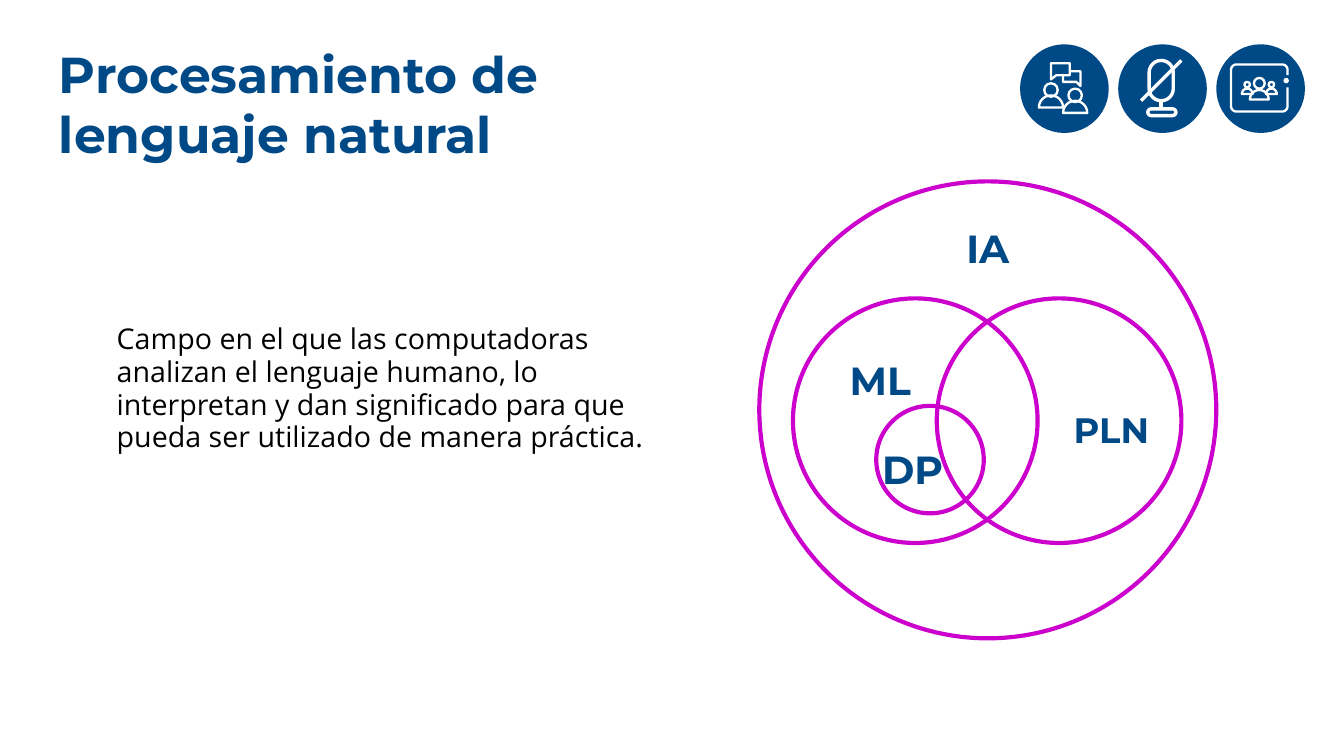
from dataclasses import dataclass
from math import cos, radians, sin

from pptx import Presentation
from pptx.dml.color import RGBColor
from pptx.enum.shapes import MSO_SHAPE
from pptx.enum.text import MSO_ANCHOR, PP_ALIGN
from pptx.shapes.autoshape import Shape
from pptx.slide import Slide
from pptx.util import Inches, Pt

NAVY = RGBColor(0x00, 0x49, 0x87)
MAGENTA = RGBColor(0xCC, 0x00, 0xCC)
WHITE = RGBColor(0xFF, 0xFF, 0xFF)
BLACK = RGBColor(0x00, 0x00, 0x00)
ICON_STROKE = 1.25
MICROPHONE_STROKE = 1.8

Point = tuple[float, float]


@dataclass
class Label:
    text: str
    left: float
    top: float
    size: float = 21


@dataclass
class Circle:
    left: float
    top: float
    diameter: float


@dataclass
class Person:
    center: float
    head_y: float
    head_radius: float
    base_y: float
    body_radius: float


LABELS = [
    Label("IA", 6.95, 1.53),
    Label("ML", 6.15, 2.51),
    Label("DP", 6.39, 3.17),
    Label("PLN", 7.87, 2.88, 18.9),
]
CIRCLES = [
    Circle(5.65, 1.35, 3.4),
    Circle(5.9, 2.22, 1.82),
    Circle(6.97, 2.22, 1.82),
    Circle(6.52, 3.02, 0.8),
]
BADGES = [Circle(7.59 + 0.73 * index, 0.33, 0.66) for index in range(3)]
PEOPLE = [
    Person(7.82, 0.67, 0.05, 0.8, 0.09),
    Person(8, 0.71, 0.05, 0.84, 0.09),
    Person(9.37, 0.62, 0.04, 0.74, 0.07),
    Person(9.28, 0.63, 0.02, 0.7, 0.04),
    Person(9.46, 0.63, 0.02, 0.7, 0.04),
]


def set_outline(shape: Shape, color: RGBColor, weight: float) -> None:
    shape.shadow.inherit = False
    shape.fill.background()
    shape.line.color.rgb = color
    shape.line.width = Pt(weight)


def add_preset(page: Slide, kind: MSO_SHAPE, left: float, top: float,
               width: float, height: float) -> Shape:
    return page.shapes.add_shape(
        kind, Inches(left), Inches(top), Inches(width), Inches(height))


def add_disc(page: Slide, disc: Circle, color: RGBColor) -> None:
    shape = add_preset(page, MSO_SHAPE.OVAL, disc.left, disc.top,
                       disc.diameter, disc.diameter)
    shape.shadow.inherit = False
    shape.fill.solid()
    shape.fill.fore_color.rgb = color
    shape.line.fill.background()


def add_ring(page: Slide, ring: Circle, color: RGBColor, weight: float) -> None:
    shape = add_preset(page, MSO_SHAPE.OVAL, ring.left, ring.top,
                       ring.diameter, ring.diameter)
    set_outline(shape, color, weight)


def add_capsule(page: Slide, left: float, top: float,
                width: float, height: float) -> None:
    shape = add_preset(page, MSO_SHAPE.ROUNDED_RECTANGLE, left, top, width, height)
    shape.adjustments[0] = 0.5
    set_outline(shape, WHITE, MICROPHONE_STROKE)


def add_path(page: Slide, points: list[Point], close: bool = False,
             weight: float = ICON_STROKE) -> None:
    first, *rest = [(Inches(x), Inches(y)) for x, y in points]
    builder = page.shapes.build_freeform(*first)
    builder.add_line_segments(rest, close=close)
    set_outline(builder.convert_to_shape(), WHITE, weight)


def arc(x: float, y: float, radius: float, start: int, end: int) -> list[Point]:
    steps = 12
    angles = [radians(start + (end - start) * step / steps)
              for step in range(steps + 1)]
    return [(x + radius * cos(angle), y + radius * sin(angle)) for angle in angles]


def add_person(page: Slide, person: Person) -> None:
    radius = person.head_radius
    head = Circle(person.center - radius, person.head_y - radius, 2 * radius)
    add_ring(page, head, WHITE, ICON_STROKE)
    body = arc(person.center, person.base_y, person.body_radius, 180, 360)
    add_path(page, body, close=True)


def add_speech_bubbles(page: Slide) -> None:
    add_path(page, [(7.82, 0.59), (7.82, 0.47), (7.96, 0.47),
                    (7.96, 0.56), (7.86, 0.56)], close=True)
    add_path(page, [(7.96, 0.53), (8.04, 0.53), (8.04, 0.64),
                    (8.01, 0.61), (7.91, 0.61), (7.91, 0.56)])


def add_microphone(page: Slide) -> None:
    add_capsule(page, 8.55, 0.45, 0.18, 0.3)
    add_capsule(page, 8.54, 0.81, 0.21, 0.05)
    add_path(page, [(8.64, 0.75), (8.64, 0.81)], weight=MICROPHONE_STROKE)
    add_path(page, [(8.49, 0.75), (8.79, 0.45)], weight=MICROPHONE_STROKE)


def add_screen(page: Slide) -> None:
    left, top, right, bottom, radius = 9.16, 0.48, 9.58, 0.83, 0.04
    frame = [
        (right, 0.65),
        *arc(right - radius, bottom - radius, radius, 0, 90),
        *arc(left + radius, bottom - radius, radius, 90, 180),
        *arc(left + radius, top + radius, radius, 180, 270),
        *arc(right - radius, top + radius, radius, 270, 360),
        (right, 0.56),
    ]
    add_path(page, frame)
    add_disc(page, Circle(9.55, 0.58, 0.04), WHITE)


def add_text(page: Slide, lines: list[str], left: float, top: float, width: float,
             height: float, size: float, font: str, color: RGBColor,
             bold: bool = False, centered: bool = False,
             line_spacing: float = 1.0) -> None:
    box = page.shapes.add_textbox(
        Inches(left), Inches(top), Inches(width), Inches(height))
    frame = box.text_frame
    frame.word_wrap = True
    frame.margin_left = frame.margin_right = Inches(0.1)
    frame.margin_top = frame.margin_bottom = Inches(0.1)
    frame.vertical_anchor = MSO_ANCHOR.MIDDLE if centered else MSO_ANCHOR.TOP
    frame.text = "\n".join(lines)
    for para in frame.paragraphs:
        para.alignment = PP_ALIGN.CENTER if centered else PP_ALIGN.LEFT
        para.line_spacing = line_spacing
        para.font.name = font
        para.font.size = Pt(size)
        para.font.bold = bold
        para.font.color.rgb = color


def main() -> None:
    deck = Presentation()
    deck.slide_width = Inches(10)
    deck.slide_height = deck.slide_width * 9 // 16
    page = deck.slides.add_slide(deck.slide_layouts[6])

    for badge in BADGES:
        add_disc(page, badge, NAVY)
    add_speech_bubbles(page)
    add_microphone(page)
    add_screen(page)
    for person in PEOPLE:
        add_person(page, person)

    add_text(page, ["Procesamiento de", "lenguaje natural"],
             0.34, 0.22, 6.14, 0.63, 27, "Montserrat", NAVY, bold=True)
    add_text(page, ["Campo en el que las computadoras analizan el lenguaje humano, "
                    "lo interpretan y dan significado para que pueda ser utilizado "
                    "de manera práctica."],
             0.77, 2.31, 4.23, 1.64, 15.3, "Open Sans", BLACK, line_spacing=0.95)

    for circle in CIRCLES:
        add_ring(page, circle, MAGENTA, 2.25)
    for label in LABELS:
        add_text(page, [label.text], label.left, label.top, 0.8, 0.63,
                 label.size, "Montserrat", NAVY, bold=True, centered=True)
    deck.save("out.pptx")


if __name__ == "__main__":
    main()
